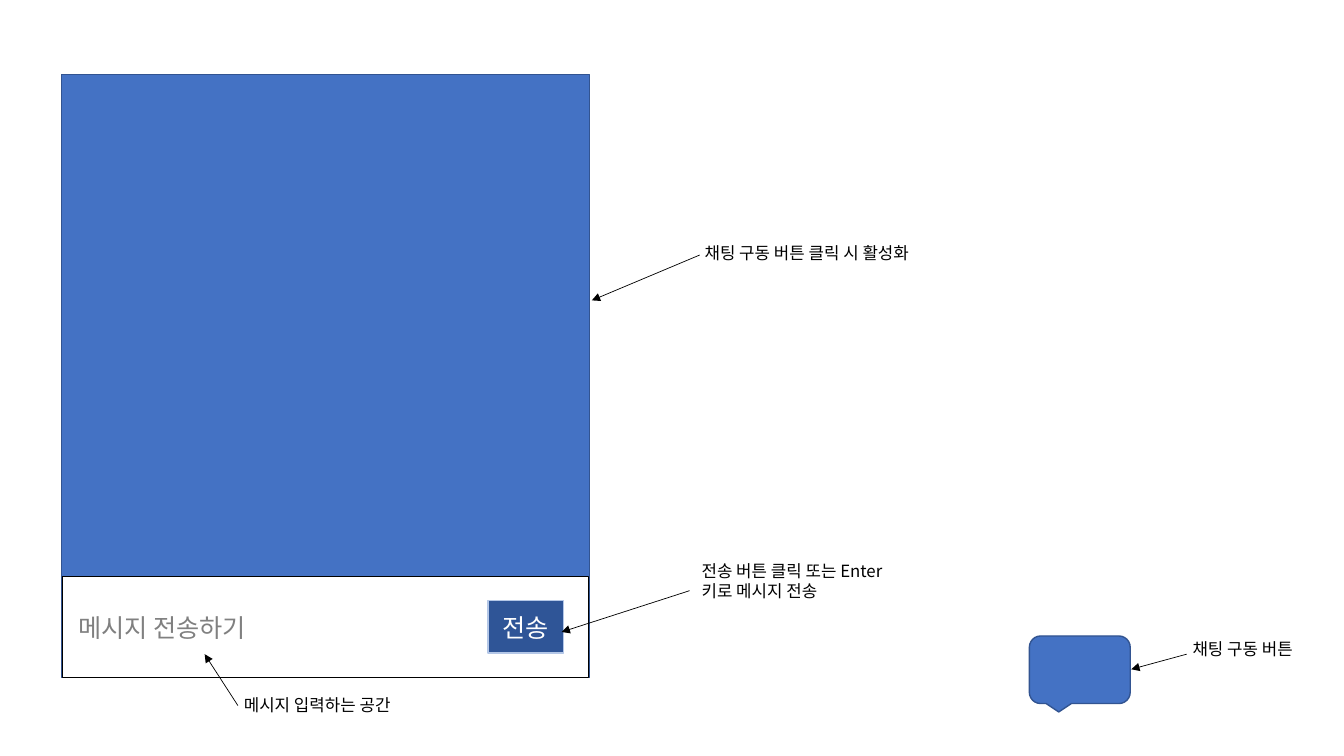
from lxml import etree
from pptx import Presentation
from pptx.dml.color import RGBColor
from pptx.enum import shapes, text
from pptx.oxml import ns
from pptx.util import Inches, Pt

THEME = {
    "font": "Noto Sans CJK KR",
    "ink": "000000", "hint": "808080", "paper": "FFFFFF",
    "blue": "4472C4", "blue_edge": "325491",
    "button": "2F5597", "button_edge": "B4C7E7",
    "note_size": 12, "label_size": 18, "edge": 1, "arrow": 0.5,
}

RECT = shapes.MSO_SHAPE.RECTANGLE
BUBBLE = shapes.MSO_SHAPE.ROUNDED_RECTANGULAR_CALLOUT
LEFT, CENTER = text.PP_ALIGN.LEFT, text.PP_ALIGN.CENTER

# kind, (left, top, width, height), fill, edge, label, label colour, alignment
PANELS = [
    (RECT, (0.61, 0.74, 5.24, 5.98), "blue", "blue_edge", "", "paper", LEFT),
    (BUBBLE, (10.21, 6.31, 1, 0.67), "blue", "blue_edge", "", "paper", LEFT),
    (RECT, (0.62, 5.72, 5.22, 1), "paper", "ink",
     "\u00a0메시지 전송하기", "hint", LEFT),
    (RECT, (4.84, 5.96, 0.75, 0.52), "button", "button_edge",
     "전송", "paper", CENTER),
]

# note, (left, top, width, height), arrow start, arrow tip
NOTES = [
    ("채팅 구동 버튼", (11.73, 6.29, 1.34, 0.31), (11.77, 6.49), (11.22, 6.64)),
    ("채팅 구동 버튼 클릭 시 활성화\u00a0", (6.89, 2.36, 3, 0.3),
     (6.94, 2.53), (5.87, 2.98)),
    ("전송 버튼 클릭 또는 Enter 키로 메시지 전송", (6.86, 5.51, 2.25, 0.5),
     (6.84, 5.86), (5.57, 6.27)),
    ("메시지 입력하는 공간", (2.32, 6.84, 2.25, 0.3), (2.36, 7), (2.03, 6.49)),
]


def color(key):
    """Return a theme colour."""
    return RGBColor.from_string(THEME[key])


def inches(values):
    """Convert numbers to lengths."""
    return [Inches(value) for value in values]


def write(frame, words, size, ink, align=LEFT):
    """Put one styled paragraph into a text frame."""
    frame.word_wrap = True
    paragraph = frame.paragraphs[0]
    paragraph.alignment = align
    run = paragraph.add_run()
    run.text = words
    formats = {"name": THEME["font"], "size": Pt(THEME[size])}
    for attribute, value in formats.items():
        setattr(run.font, attribute, value)
    run.font.color.rgb = color(ink)
    east_asian = etree.SubElement(run.font._element, ns.qn("a:ea"))
    east_asian.set("typeface", THEME["font"])


def add_panel(slide, kind, box, fill, edge, label, ink, align):
    """Draw a filled part of the chat window, with its label if any."""
    panel = slide.shapes.add_shape(kind, *inches(box))
    panel.shadow.inherit = False
    panel.fill.solid()
    panel.fill.fore_color.rgb = color(fill)
    panel.line.color.rgb = color(edge)
    panel.line.width = Pt(THEME["edge"])
    if label:
        panel.text_frame.vertical_anchor = text.MSO_ANCHOR.MIDDLE
        write(panel.text_frame, label, "label_size", ink, align)


def add_note(slide, words, box, start, tip):
    """Draw a note and the arrow from it to the part it explains."""
    arrow = slide.shapes.add_connector(
        shapes.MSO_CONNECTOR.STRAIGHT, *inches(start + tip))
    arrow.line.color.rgb = color("ink")
    arrow.line.width = Pt(THEME["arrow"])
    head = etree.SubElement(arrow.line._get_or_add_ln(), ns.qn("a:tailEnd"))
    head.set("type", "triangle")
    etree.SubElement(arrow._element.spPr, ns.qn("a:effectLst"))
    note = slide.shapes.add_textbox(*inches(box))
    write(note.text_frame, words, "note_size", "ink")
    note.text_frame.auto_size = text.MSO_AUTO_SIZE.SHAPE_TO_FIT_TEXT


def main():
    """Build the slide and save it."""
    deck = Presentation()
    deck.slide_width, deck.slide_height = inches((13.33, 7.5))
    slide = deck.slides.add_slide(deck.slide_layouts[6])
    for panel in PANELS:
        add_panel(slide, *panel)
    for note in NOTES:
        add_note(slide, *note)
    deck.save("out.pptx")


main()
